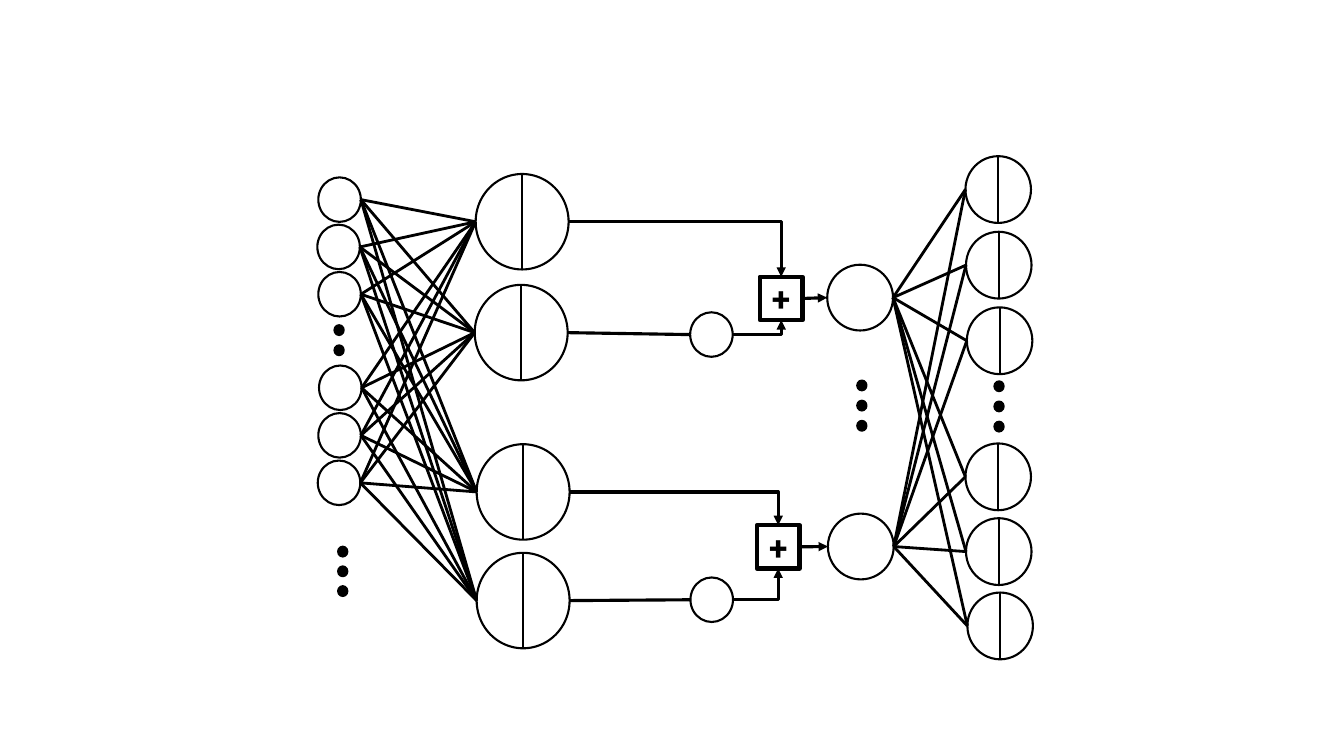
from dataclasses import dataclass
from itertools import product

from lxml.etree import SubElement
from pptx import Presentation
from pptx.dml.color import RGBColor as Rgb
from pptx.enum.shapes import MSO_CONNECTOR as Link, MSO_SHAPE as Kind
from pptx.enum.text import MSO_ANCHOR as Anchor, PP_ALIGN as Align
from pptx.oxml.ns import qn
from pptx.util import Pt


@dataclass(frozen=True)
class Theme:
    ink: Rgb = Rgb(0, 0, 0)
    paper: Rgb = Rgb(255, 255, 255)
    font: str = "Roboto"
    sign: float = 24
    rim: float = 1.5
    web: float = 2
    wire: float = 2.25
    frame: float = 3


@dataclass(frozen=True)
class Node:
    """A shape placed by its centre, in points."""
    x: float
    y: float
    w: float
    h: float

    @property
    def left(self) -> tuple[float, float]:
        return self.x - self.w / 2, self.y

    @property
    def right(self) -> tuple[float, float]:
        return self.x + self.w / 2, self.y

    @property
    def top(self) -> tuple[float, float]:
        return self.x, self.y - self.h / 2

    @property
    def base(self) -> tuple[float, float]:
        return self.x, self.y + self.h / 2


@dataclass(frozen=True)
class Dots:
    x: float
    y: float
    step: float
    count: int


Spot = tuple[float, float]
THEME = Theme()

deck = Presentation()
deck.slide_width, deck.slide_height = Pt(960), Pt(540)
slide = deck.slides.add_slide(deck.slide_layouts[6])


def draw(node: Node, kind: Kind = Kind.OVAL, fill: Rgb | None = THEME.paper,
         width: float = THEME.rim):
    shape = slide.shapes.add_shape(kind, Pt(node.left[0]), Pt(node.top[1]),
                                   Pt(node.w), Pt(node.h))
    shape.shadow.inherit = False
    if fill is None:
        shape.fill.background()
    else:
        shape.fill.solid()
        shape.fill.fore_color.rgb = fill
    shape.line.color.rgb = THEME.ink
    shape.line.width = Pt(width)
    return shape


def join(start: Spot, end: Spot, width: float, bent: bool = False,
         arrow: bool = False) -> None:
    line = slide.shapes.add_connector(Link.ELBOW if bent else Link.STRAIGHT,
                                      *map(Pt, start + end))
    line.line.color.rgb = THEME.ink
    line.line.width = Pt(width)
    props = line._element.spPr
    SubElement(props, qn("a:effectLst"))
    if bent:  # one corner only
        props.find(qn("a:prstGeom")).set("prst", "bentConnector2")
    if arrow:
        SubElement(props.find(qn("a:ln")), qn("a:tailEnd"), type="triangle")


def split(node: Node) -> None:
    draw(node)
    join(node.top, node.base, THEME.rim)


def plus(node: Node) -> None:
    shape = draw(node, Kind.RECTANGLE, None, THEME.frame)
    frame = shape.text_frame
    frame.margin_left = frame.margin_right = 0
    frame.margin_top = frame.margin_bottom = 0
    frame.vertical_anchor = Anchor.MIDDLE
    frame.text = "+"
    para = frame.paragraphs[0]
    para.alignment = Align.CENTER
    font = para.runs[0].font
    font.name, font.size, font.bold = THEME.font, Pt(THEME.sign), True
    font.color.rgb = THEME.ink


def layer(spots: list[Spot], w: float, h: float) -> list[Node]:
    return [Node(x, y, w, h) for x, y in spots]


# Layers, from left to right
inputs = layer([(242.6, 142.6), (241.9, 176.4), (242.6, 210.2),
                (243.1, 277), (242.6, 311), (242.2, 344.9)], 30.4, 31.8)
pairs = layer([(373, 158.4), (372.3, 237.6), (373.7, 351.4), (373.7, 429)],
              66.4, 68.2)
delays = layer([(508.2, 239), (508.4, 428.4)], 30.4, 31.8)
sums = layer([(558, 213.2), (555.9, 390.6)], 30.5, 31)
merges = layer([(614.4, 212.6), (614.9, 390.4)], 47, 47)
outputs = layer([(713, 135.4), (713.4, 189.4), (714, 243.4),
                 (713, 340.6), (713.4, 394), (714.4, 447.1)], 46.8, 47.7)
gaps = [Dots(242.2, 235.8, 14.4, 2), Dots(244.8, 394, 14.1, 3),
        Dots(615.6, 275.3, 14.4, 3), Dots(713.6, 275.9, 14.4, 3)]

# Nodes
for node in inputs + delays + merges:
    draw(node)
for node in pairs + outputs:
    split(node)
for node in sums:
    plus(node)

# Dense links between layers
for start, end in [*product(inputs, pairs), *product(merges, outputs)]:
    join(start.right, end.left, THEME.web)

# Each pair feeds a sum: one directly, one through a delay
for first, second, delay, total, merge in zip(pairs[::2], pairs[1::2],
                                              delays, sums, merges):
    join(first.right, total.top, THEME.wire, bent=True, arrow=True)
    join(second.right, delay.left, THEME.wire)
    join(delay.right, total.base, THEME.wire, bent=True, arrow=True)
    join(total.right, merge.left, THEME.wire, arrow=True)

# Dots for the nodes left out
for gap in gaps:
    for i in range(gap.count):
        draw(Node(gap.x, gap.y + i * gap.step, 6.6, 7), fill=THEME.ink)

deck.save("out.pptx")
